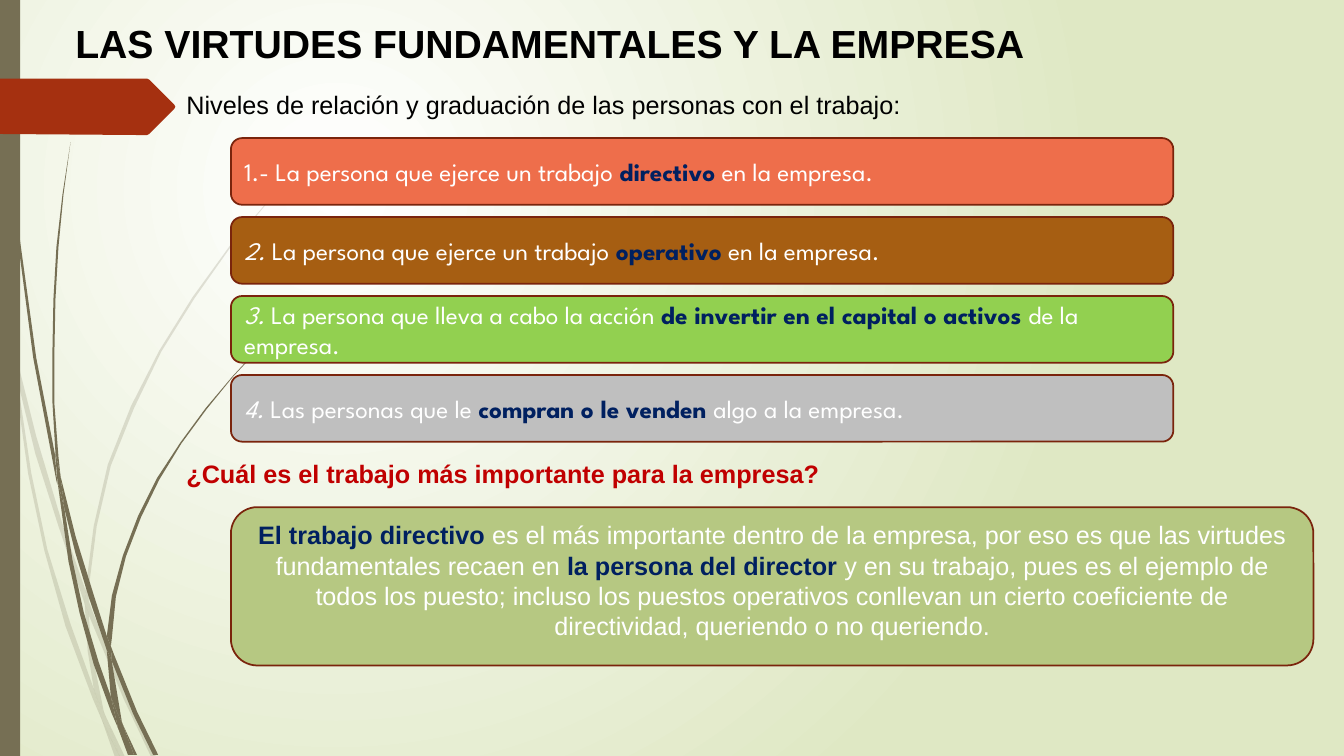
from lxml.etree import SubElement
from pptx import Presentation
from pptx.dml.color import RGBColor
from pptx.enum.shapes import MSO_SHAPE
from pptx.enum.text import MSO_ANCHOR, MSO_AUTO_SIZE, PP_ALIGN
from pptx.oxml.ns import qn
from pptx.util import Cm, Pt

WHITE = RGBColor(0xFF, 0xFF, 0xFF)
BLACK = RGBColor(0x00, 0x00, 0x00)
NAVY = RGBColor(0x00, 0x20, 0x60)
RED = RGBColor(0xC0, 0x00, 0x00)
PALE_GREEN = RGBColor(0xDF, 0xE8, 0xC4)
OLIVE = RGBColor(0xB6, 0xC8, 0x82)
STEM = RGBColor(0x76, 0x6F, 0x54)
RUST = RGBColor(0xA5, 0x30, 0x10)
OUTLINE = RGBColor(0x7A, 0x24, 0x0C)
CORAL = RGBColor(0xEE, 0x6E, 0x4B)
BROWN = RGBColor(0xA6, 0x5E, 0x12)
GREEN = RGBColor(0x92, 0xD0, 0x50)
GRAY = RGBColor(0xBF, 0xBF, 0xBF)

PLAIN = (WHITE, False, False)
ITALIC = (WHITE, False, True)
STRONG = (NAVY, True, False)


def add_runs(paragraph, runs, font_name, size=18):
    for text, (color, bold, italic) in runs:
        run = paragraph.add_run()
        run.text = text
        run.font.name = font_name
        run.font.size = Pt(size)
        run.font.bold = bold
        run.font.italic = italic
        run.font.color.rgb = color


def add_outline(shapes, points, color):
    builder = shapes.build_freeform(*points[0], scale=Cm(2.54) / 100)
    builder.add_line_segments(points[1:], close=True)
    shape = builder.convert_to_shape()
    shape.shadow.inherit = False
    shape.fill.solid()
    shape.fill.fore_color.rgb = color
    shape.line.fill.background()
    return shape


presentation = Presentation()
presentation.slide_width = Cm(33.87)
presentation.slide_height = Cm(19.05)
slide = presentation.slides.add_slide(presentation.slide_layouts[6])

background = slide.background.fill
background.gradient()
for stop, color in zip(background.gradient_stops, (WHITE, PALE_GREEN)):
    stop.color.rgb = color
gradient = slide.background._cSld.find(".//" + qn("a:gradFill"))
gradient.remove(gradient.find(qn("a:lin")))
circle = SubElement(gradient, qn("a:path"), {"path": "circle"})
SubElement(circle, qn("a:fillToRect"), l="50000", t="50000", r="100000", b="100000")

pale_stems = [
    [(11, 350), (9, 322), (0, 282), (0, 299), (10, 344)],
    [(58, 522), (84, 599), (85, 586), (62, 520), (36, 433), (14, 345), (17, 376), (35, 450)],
    [(92, 607), (88, 596), (88, 610), (123, 694), (150, 751), (155, 751), (127, 692)],
    [(119, 751), (124, 751), (105, 711)],
    [(93, 683), (70, 619), (47, 545), (31, 469), (17, 376), (11, 350), (28, 470),
     (44, 546), (65, 621), (92, 693), (101, 714), (99, 707)],
    [(84, 599), (87, 646), (93, 683), (96, 692), (105, 711), (103, 706), (91, 646),
     (88, 610), (88, 608)],
    [(88, 584), (96, 522), (110, 462), (133, 405), (160, 349), (193, 296), (229, 245),
     (268, 198), (290, 175), (312, 154), (312, 153), (289, 175), (268, 197), (228, 244),
     (191, 295), (158, 348), (130, 403), (107, 461), (93, 522), (85, 584), (85, 586), (88, 596)],
    [(101, 714), (114, 751), (119, 751)],
    [(88, 608), (88, 610), (88, 596), (85, 586), (84, 599)],
    [(96, 692), (93, 683), (99, 707), (101, 714), (119, 751), (105, 711)],
]
dark_stems = [
    [(7, 110), (17, 233), (33, 355), (56, 477), (57, 481), (55, 457), (55, 453), (36, 355),
     (19, 232), (8, 109), (5, 48), (4, 0), (3, 0), (4, 48)],
    [(88, 592), (106, 645), (106, 633), (106, 631), (93, 590), (75, 532), (60, 472),
     (64, 505), (75, 549)],
    [(113, 649), (110, 641), (111, 656), (132, 708), (152, 749), (157, 749), (136, 706)],
    [(110, 691), (98, 657), (83, 607), (72, 556), (64, 505), (57, 477), (68, 557),
     (79, 608), (93, 659), (111, 708), (117, 722), (116, 717)],
    [(60, 472), (58, 453), (54, 401), (54, 349), (55, 297), (58, 245), (63, 193), (70, 141),
     (62, 193), (56, 245), (53, 297), (52, 349), (52, 399), (55, 449)],
    [(133, 749), (136, 749), (122, 719)],
    [(57, 477), (64, 505), (60, 472), (55, 449), (55, 453)],
    [(111, 633), (115, 592), (125, 552), (140, 513), (158, 476), (180, 440), (205, 406),
     (231, 374), (245, 359), (261, 344), (260, 344), (245, 358), (231, 373), (204, 405),
     (179, 439), (156, 474), (137, 512), (122, 551), (111, 591), (106, 631), (110, 641)],
    [(117, 722), (127, 749), (131, 749)],
    [(106, 645), (110, 691), (116, 706), (122, 719), (121, 716), (111, 656), (109, 651)],
    [(106, 645), (109, 651), (111, 656), (110, 641), (106, 631), (106, 633)],
    [(116, 706), (110, 691), (116, 717), (117, 722), (130, 749), (133, 749), (122, 719)],
]
pale_group = slide.shapes.add_group_shape()
for points in pale_stems:
    stem = add_outline(pale_group.shapes, points, STEM)
    color_element = stem.fill._xPr.find(".//" + qn("a:srgbClr"))
    SubElement(color_element, qn("a:alpha"), val="20000")
dark_group = slide.shapes.add_group_shape()
for points in dark_stems:
    add_outline(dark_group.shapes, points, STEM)

side_bar = slide.shapes.add_shape(MSO_SHAPE.RECTANGLE, 0, 0, Cm(0.51), Cm(19.05))
side_bar.shadow.inherit = False
side_bar.fill.solid()
side_bar.fill.fore_color.rgb = STEM
side_bar.line.fill.background()

arrow_points = [(0, 78), (146, 78), (148, 79), (173, 104), (174, 106), (173, 108),
                (148, 133), (146, 134), (136, 134), (0, 133)]
add_outline(slide.shapes, arrow_points, RUST)

headings = [
    ("LAS VIRTUDES FUNDAMENTALES Y LA EMPRESA", 1.65, 0.36, 31.22, 1.45, 28, BLACK, True, True),
    ("Niveles de relación y graduación de las personas con el trabajo:",
     4.45, 2.13, 18.67, 1.02, 18, BLACK, False, False),
    ("¿Cuál es el trabajo más importante para la empresa?",
     4.45, 11.43, 16.61, 1.02, 18, RED, True, False),
]
for text, left, top, width, height, size, color, bold, wrap in headings:
    text_box = slide.shapes.add_textbox(Cm(left), Cm(top), Cm(width), Cm(height))
    text_box.text_frame.word_wrap = wrap
    text_box.text_frame.auto_size = MSO_AUTO_SIZE.SHAPE_TO_FIT_TEXT
    add_runs(text_box.text_frame.paragraphs[0], [(text, (color, bold, False))], "Arial", size)

levels = [
    (CORAL, [("1.- La persona que ejerce un trabajo ", PLAIN), ("directivo", STRONG),
             (" en la empresa.", PLAIN)]),
    (BROWN, [("2. ", ITALIC), ("La persona que ejerce un trabajo ", PLAIN),
             ("operativo", STRONG), (" en la empresa.", PLAIN)]),
    (GREEN, [("3. ", ITALIC), ("La persona que lleva a cabo la acción ", PLAIN),
             ("de invertir en el capital o activos ", STRONG), ("de la empresa.", PLAIN)]),
    (GRAY, [("4. ", ITALIC), ("Las personas que le ", PLAIN),
            ("compran o le venden ", STRONG), ("algo a la empresa.", PLAIN)]),
]
answer = [
    ("El trabajo directivo", STRONG),
    (" es el más importante dentro de la empresa, por eso es que las virtudes "
     "fundamentales recaen en ", PLAIN),
    ("la persona del director ", STRONG),
    ("y en su trabajo, pues es el ejemplo de todos los puesto; incluso los puestos operativos "
     "conllevan un cierto coeficiente de directividad, queriendo o no queriendo.", PLAIN),
]
panels = [
    (3.48 + 1.99 * index, 23.75, 1.68, color, runs, "League Spartan", PP_ALIGN.LEFT, MSO_ANCHOR.MIDDLE)
    for index, (color, runs) in enumerate(levels)
]
panels.append((12.78, 27.28, 3.99, OLIVE, answer, "Arial", PP_ALIGN.CENTER, MSO_ANCHOR.TOP))
for top, width, height, color, runs, font_name, alignment, anchor in panels:
    panel = slide.shapes.add_shape(
        MSO_SHAPE.ROUNDED_RECTANGLE, Cm(5.82), Cm(top), Cm(width), Cm(height))
    panel.shadow.inherit = False
    panel.fill.solid()
    panel.fill.fore_color.rgb = color
    panel.line.color.rgb = OUTLINE
    panel.line.width = Pt(1.25)
    panel.text_frame.word_wrap = True
    panel.text_frame.vertical_anchor = anchor
    paragraph = panel.text_frame.paragraphs[0]
    paragraph.alignment = alignment
    add_runs(paragraph, runs, font_name)

presentation.save("out.pptx")
